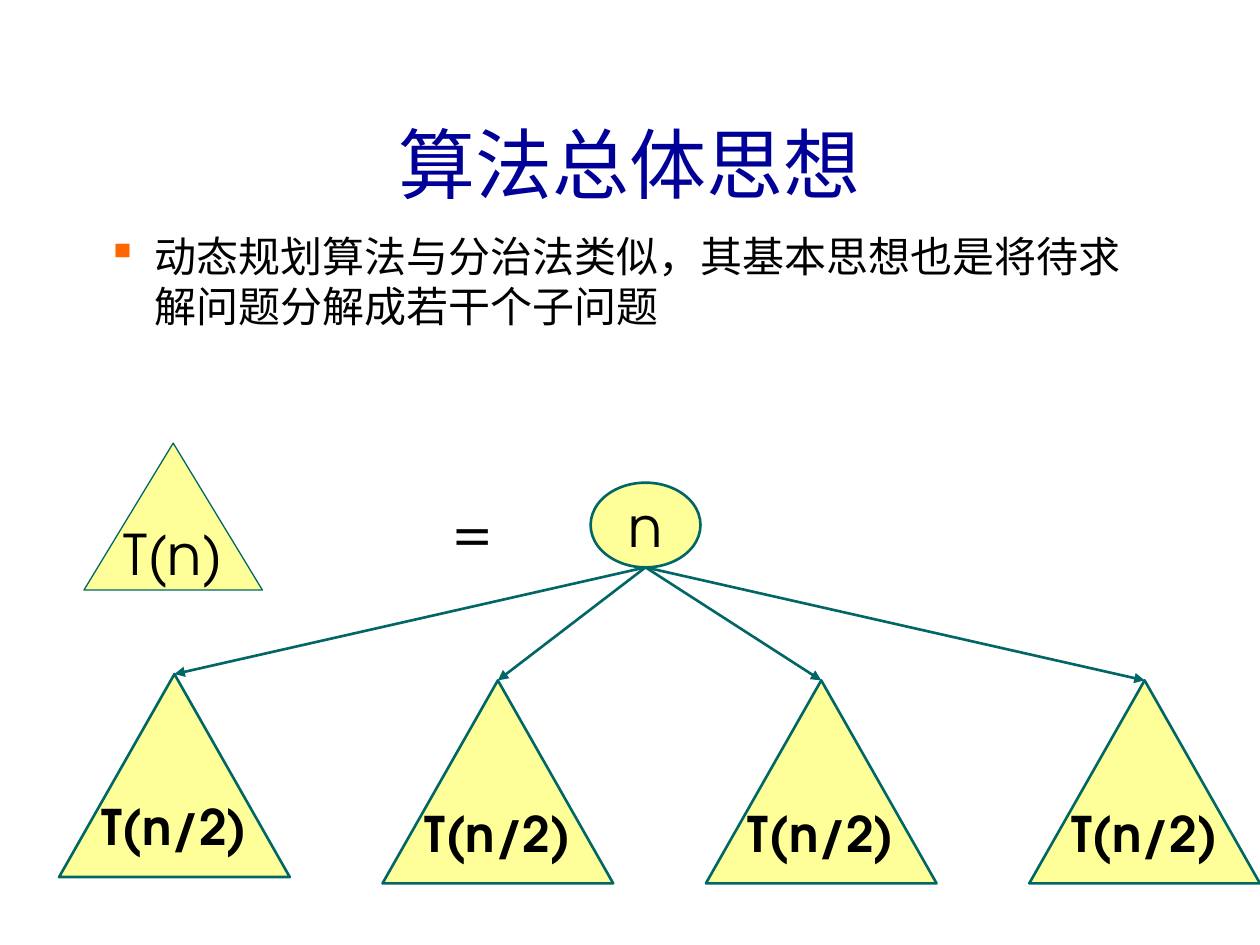
from lxml.etree import SubElement
from pptx import Presentation
from pptx.dml.color import RGBColor
from pptx.enum.shapes import MSO_CONNECTOR as Link, MSO_SHAPE as Form
from pptx.enum.text import MSO_ANCHOR as Anchor, PP_ALIGN as Align
from pptx.oxml.ns import qn
from pptx.util import Pt

BLACK = RGBColor(0x00, 0x00, 0x00)
NAVY = RGBColor(0x00, 0x00, 0x99)
TEAL = RGBColor(0x00, 0x66, 0x66)
CREAM = RGBColor(0xFF, 0xFF, 0x99)
ORANGE = RGBColor(0xFF, 0x66, 0x00)
HAN = "Noto Sans CJK SC"
LATIN = "TeX Gyre Adventor"


class Board:
    def __init__(self, slide):
        self.slide = slide
        self.shapes = slide.shapes

    def letter(self, shape, text, size, font=LATIN, color=BLACK, bold=False,
               align=Align.CENTER, anchor=Anchor.MIDDLE, wrap=True, before=0):
        frame = shape.text_frame
        para = frame.paragraphs[0]
        run = para.add_run()
        run.text = text
        run.font.color.rgb = color
        styles = (
            (frame, {"word_wrap": wrap, "vertical_anchor": anchor}),
            (para, {"alignment": align, "space_before": Pt(before)}),
            (run.font, {"size": Pt(size), "name": font, "bold": bold}),
        )
        for part, values in styles:
            for name, value in values.items():
                setattr(part, name, value)
        SubElement(run._r.get_or_add_rPr(), qn("a:ea"), typeface=HAN)
        return para

    def label(self, box, text, size, **style):
        shape = self.shapes.add_textbox(*map(Pt, box))
        return self.letter(shape, text, size, **style)

    def bullet(self, box, text, size, indent, **style):
        para = self.label(box, text, size, align=Align.LEFT,
                          anchor=Anchor.TOP, **style)
        props = para._p.get_or_add_pPr()
        props.set("marL", str(Pt(indent)))
        props.set("indent", str(-Pt(indent)))
        tint = SubElement(props, qn("a:buClr"))
        SubElement(tint, qn("a:srgbClr"), val=str(ORANGE))
        SubElement(props, qn("a:buChar"), char="▪")

    def node(self, form, box, text, size, width=1.5, bold=False):
        shape = self.shapes.add_shape(form, *map(Pt, box))
        shape.shadow.inherit = False
        shape.fill.solid()
        shape.fill.fore_color.rgb = CREAM
        shape.line.color.rgb = TEAL
        shape.line.width = Pt(width)
        self.letter(shape, text, size, bold=bold, wrap=False)
        return shape

    def arrow(self, root, leaf):
        x, y = root.left + root.width // 2, root.top + root.height
        line = self.shapes.add_connector(Link.STRAIGHT, x, y, x, y)
        line.end_connect(leaf, 0)
        line.line.color.rgb = TEAL
        line.line.width = Pt(1.5)
        props = line._element.spPr
        SubElement(props.find(qn("a:ln")), qn("a:tailEnd"), type="triangle")
        SubElement(props, qn("a:effectLst"))


def main():
    deck = Presentation()
    deck.slide_width, deck.slide_height = Pt(720), Pt(540)
    board = Board(deck.slides.add_slide(deck.slide_layouts[6]))

    board.bullet((54, 128, 612, 324),
                 "动态规划算法与分治法类似，其基本思想也是将待求解问题分解成若干个子问题",
                 24, 27, font=HAN, before=6)
    board.label((54, 48, 612, 90), "算法总体思想", 44, font="Arial", color=NAVY)

    root = board.node(Form.OVAL, (337.5, 275.8, 62.8, 48.4), "n", 32)
    for i, top in enumerate((385.2, 388.8, 388.8, 388.8)):
        leaf = board.node(Form.ISOSCELES_TRIANGLE,
                          (33.8 + 184.8 * i, top, 131.8, 116),
                          "T(n/2)", 28, bold=True)
        board.arrow(root, leaf)

    board.node(Form.ISOSCELES_TRIANGLE, (48, 253.2, 102, 84), "T(n)", 32, width=0.75)
    board.label((228, 279.4, 84, 46), "=", 32, anchor=Anchor.TOP, before=20)
    deck.save("out.pptx")


if __name__ == "__main__":
    main()
